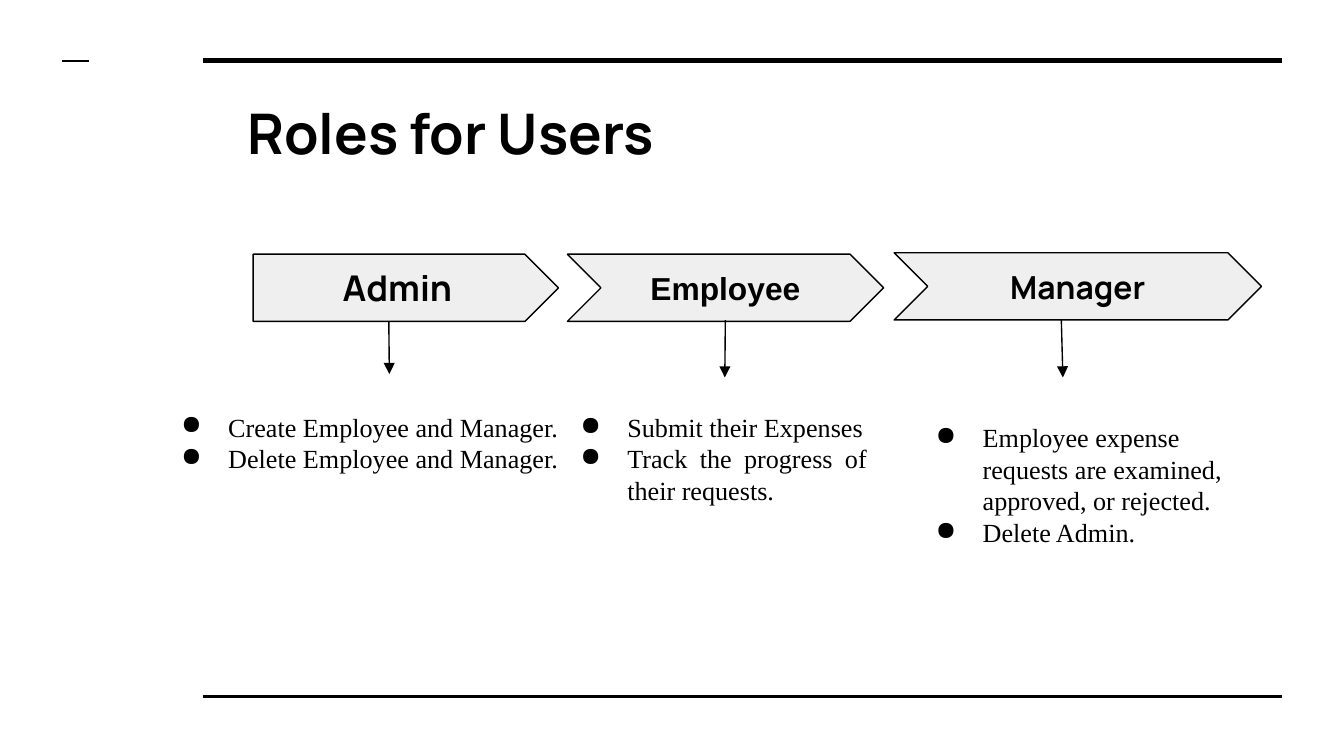
from dataclasses import dataclass

from lxml.etree import SubElement
from pptx import Presentation
from pptx.dml.color import RGBColor
from pptx.enum.shapes import MSO_CONNECTOR as CONN, MSO_SHAPE as SHAPE
from pptx.enum.text import MSO_ANCHOR as ANCHOR, MSO_AUTO_SIZE as AUTO, PP_ALIGN as ALIGN
from pptx.oxml.ns import qn
from pptx.util import Pt


@dataclass(frozen=True)
class Theme:
    ink: RGBColor = RGBColor(0, 0, 0)
    panel: RGBColor = RGBColor(0xEF, 0xEF, 0xEF)
    head_font: str = "Manrope"
    body_font: str = "Times New Roman"
    title_size: float = 30
    body_size: float = 14
    leading: float = 16.9
    thin: float = 0.75
    inset: float = 7.2
    indent: float = 36
    hang: float = 25.2


class Deck:
    """Holds the theme and the current slide; all lengths are points."""

    def __init__(self, prs, theme):
        self.t = theme
        self.s = prs.slides.add_slide(prs.slide_layouts[5])

    def _frame(self, tf, anchor):
        fmt = {f"margin_{side}": Pt(self.t.inset) for side in ("left", "top", "right", "bottom")}
        fmt.update(word_wrap=True, auto_size=AUTO.NONE, vertical_anchor=anchor)
        for name, value in fmt.items():
            setattr(tf, name, value)

    def _write(self, p, text, font, size, bold, align):
        r = p.add_run()
        r.text = text
        p.alignment = align
        for name, value in {"name": font, "size": Pt(size), "bold": bold}.items():
            setattr(r.font, name, value)
        r.font.color.rgb = self.t.ink

    def title(self, text, *box):
        sp = self.s.shapes.title
        sp.left, sp.top, sp.width, sp.height = map(Pt, box)
        self._frame(sp.text_frame, ANCHOR.TOP)
        self._write(sp.text_frame.paragraphs[0], text, self.t.head_font,
                    self.t.title_size, True, ALIGN.LEFT)

    def line(self, x1, y1, x2, y2, weight, arrow=False):
        cxn = self.s.shapes.add_connector(CONN.STRAIGHT, *map(Pt, (x1, y1, x2, y2)))
        cxn.line.color.rgb = self.t.ink
        cxn.line.width = Pt(weight)
        if arrow:
            SubElement(cxn.line._get_or_add_ln(), qn("a:tailEnd"), type="triangle")
        SubElement(cxn._element.spPr, qn("a:effectLst"))

    def step(self, kind, text, font, size, *box):
        sp = self.s.shapes.add_shape(kind, *map(Pt, box))
        sp.shadow.inherit = False
        sp.fill.solid()
        sp.fill.fore_color.rgb = self.t.panel
        sp.line.color.rgb = self.t.ink
        sp.line.width = Pt(self.t.thin)
        self._frame(sp.text_frame, ANCHOR.MIDDLE)
        self._write(sp.text_frame.paragraphs[0], text, font, size, True, ALIGN.CENTER)

    def bullets(self, items, *box):
        tf = self.s.shapes.add_textbox(*map(Pt, box)).text_frame
        self._frame(tf, ANCHOR.TOP)
        for i, (text, align) in enumerate(items):
            p = tf.add_paragraph() if i else tf.paragraphs[0]
            self._write(p, text, self.t.body_font, self.t.body_size, False, align)
            p.line_spacing = Pt(self.t.leading)
            pPr = p._p.get_or_add_pPr()
            pPr.set("marL", str(Pt(self.t.indent)))
            pPr.set("indent", str(-Pt(self.t.hang)))
            color = SubElement(pPr, qn("a:buClr"))
            SubElement(color, qn("a:srgbClr"), val=str(self.t.ink))
            SubElement(pPr, qn("a:buChar"), char="●")


def main():
    prs = Presentation()
    prs.slide_width, prs.slide_height = Pt(720), Pt(405)
    theme = Theme()
    deck = Deck(prs, theme)

    # Page rules and title
    for x1, x2, y, weight in ((108.7, 686.9, 32.4, 3), (108.7, 686.9, 373, 1.5),
                              (33.5, 47.9, 32.6, 1)):
        deck.line(x1, y, x2, y, weight)
    deck.title("Roles for Users", 125.3, 45.4, 561.6, 49.7)

    # Roles: step (shape, name, font, size, box), arrow, duties, duties box
    roles = (
        ((SHAPE.PENTAGON, "Admin", theme.head_font, 19, 135.6, 136.2, 163.6, 36),
         (208.3, 172.2, 208.6, 200.4),
         (("Create Employee and Manager.", ALIGN.JUSTIFY),
          ("Delete Employee and Manager.", ALIGN.JUSTIFY)),
         (79.2, 213, 230.4, 48.2)),
        ((SHAPE.CHEVRON, "Employee", "Arial", 17, 304, 136.2, 169.4, 36),
         (388.6, 171.5, 388.3, 202.2),
         (("Submit their Expenses", ALIGN.JUSTIFY),
          ("Track the progress of their requests.", ALIGN.JUSTIFY)),
         (293, 213, 178.6, 82)),
        ((SHAPE.CHEVRON, "Manager", theme.head_font, 17, 479, 135.4, 196.8, 36),
         (568.6, 171.5, 569.4, 202.2),
         (("Employee expense requests are examined, approved, or rejected.", ALIGN.LEFT),
          ("Delete Admin.", ALIGN.JUSTIFY)),
         (483.4, 218.6, 192.2, 82)),
    )
    for step, arrow, duties, box in roles:
        deck.step(*step)
        deck.line(*arrow, theme.thin, arrow=True)
        deck.bullets(duties, *box)

    prs.save("out.pptx")


if __name__ == "__main__":
    main()
